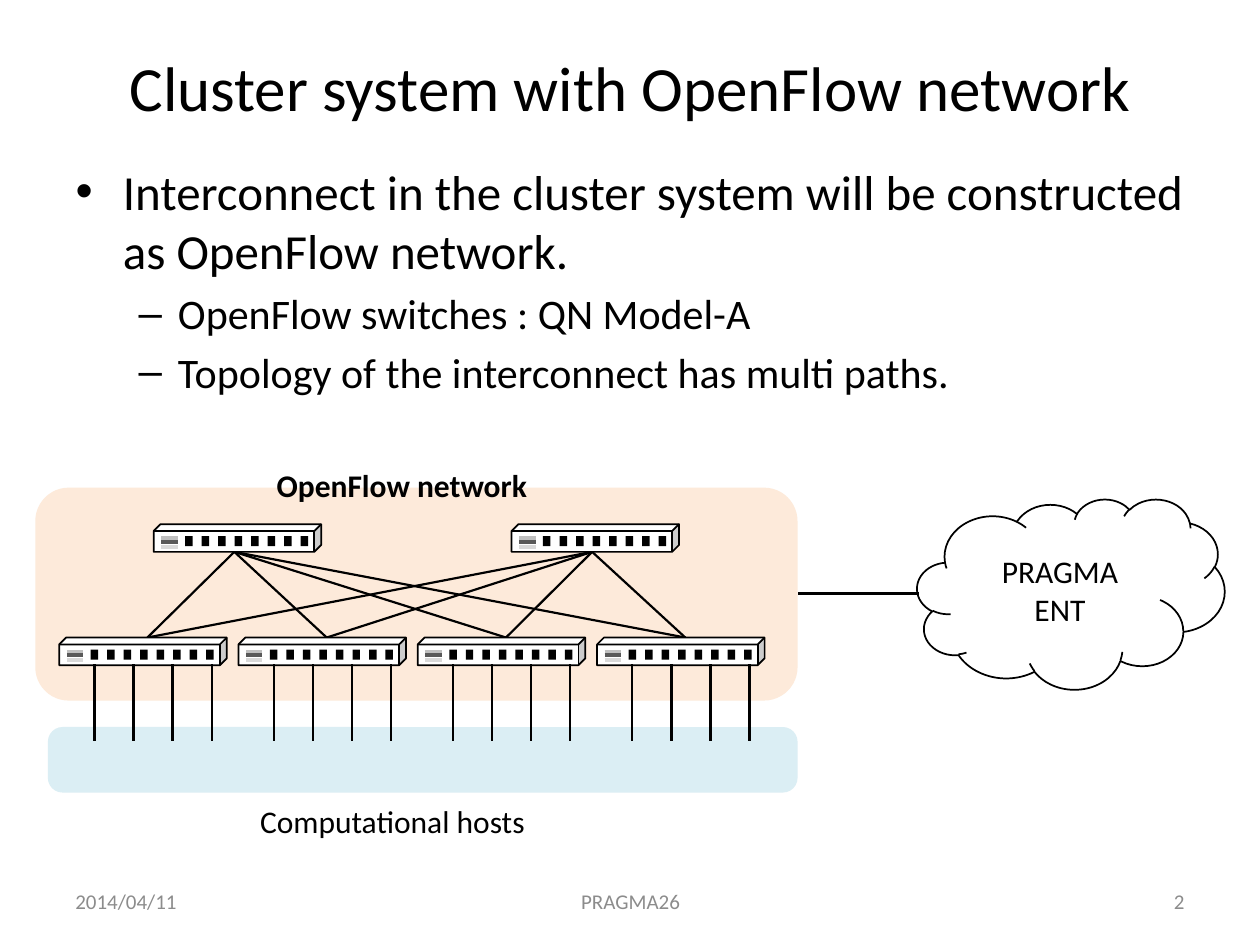
from pptx import Presentation
from pptx.dml.color import RGBColor
from pptx.enum.shapes import MSO_CONNECTOR as Conn, MSO_SHAPE as Geo
from pptx.enum.text import MSO_ANCHOR as Anchor, MSO_AUTO_SIZE as Fit, PP_ALIGN as Align
from pptx.oxml.ns import qn
from pptx.util import Inches, Pt
from lxml.etree import SubElement

# Content
TITLE = "Cluster system with OpenFlow network"
BODY = [
    (0, 28, "Interconnect in the cluster system will be constructed as OpenFlow network."),
    (1, 24, "OpenFlow switches : QN Model-A"),
    (1, 24, "Topology of the interconnect has multi paths."),
]
FOOTER = [
    (0.5, 2.33, Align.LEFT, "2014/04/11"),
    (3.42, 3.17, Align.CENTER, "PRAGMA26"),
    (7.17, 2.33, Align.RIGHT, "2"),
]
LABELS = [
    ((2.09, 3.65, 2.2, 0.4), "OpenFlow network", True),
    ((1.95, 6.32, 2.33, 0.4), "Computational hosts", False),
]
CLOUD = ["PRAGMA", "ENT"]
PANELS = [
    ((0.38, 5.77, 5.95, 0.52), 0.224, "hosts"),
    ((0.28, 3.87, 6.05, 1.69), 0.157, "net"),
]
COLOR = {
    "ink": "000000", "paper": "FFFFFF", "foot": "8C8C8C",
    "hosts": "DBEEF4", "net": "FDEADA",
    "mid": "BFBFBF", "dark": "595959", "light": "D9D9D9",
}
FONT = "Calibri"

# Network grid
WIDE, HIGH = 1.33, 0.22
PITCH = 1.423
SPINES = [1.22, 4.06]
LEAVES = [0.47 + PITCH * i for i in range(4)]
SPINE_TOP, LEAF_TOP = 4.16, 5.06
PORTS = 8
MARKS = [(0.11, "mid"), (0.14, "dark"), (0.18, "light")]
WIRES, WIRE_GAP = 4, 0.31

prs = Presentation()
prs.slide_width, prs.slide_height = Inches(10), Inches(7.5)
slide = prs.slides.add_slide(prs.slide_layouts[1])
shapes = slide.shapes


def rgb(name):
    return RGBColor.from_string(COLOR[name])


def place(shape, box):
    shape.left, shape.top, shape.width, shape.height = map(Inches, box)


def write(para, text, size, color="ink", bold=None):
    run = para.add_run()
    run.text = text
    font = run.font
    font.name, font.size, font.bold = FONT, Pt(size), bold
    font.color.rgb = rgb(color)


def label(box, text, size, color="ink", bold=None,
          align=Align.CENTER, anchor=Anchor.TOP, wrap=False):
    frame = shapes.add_textbox(*map(Inches, box)).text_frame
    frame.word_wrap, frame.vertical_anchor = wrap, anchor
    para = frame.paragraphs[0]
    para.alignment = align
    write(para, text, size, color, bold)


def draw(geo, box, fill=None, line=None):
    shape = shapes.add_shape(geo, *map(Inches, box))
    shape.shadow.inherit = False
    if fill:
        shape.fill.solid()
        shape.fill.fore_color.rgb = rgb(fill)
    else:
        shape.fill.background()
    if line:
        shape.line.color.rgb = rgb("ink")
        shape.line.width = Pt(line)
    else:
        shape.line.fill.background()
    return shape


def link(x1, y1, x2, y2, color="ink", width=1.25):
    line = shapes.add_connector(Conn.STRAIGHT, *map(Inches, (x1, y1, x2, y2)))
    line.line.color.rgb = rgb(color)
    line.line.width = Pt(width)
    SubElement(line._element.spPr, qn("a:effectLst"))


def switch(x, y):
    draw(Geo.CUBE, (x, y, WIDE, HIGH), "paper", 1)
    for i in range(PORTS):
        draw(Geo.RECTANGLE, (x + 0.25 + 0.131 * i, y + 0.095, 0.06, 0.08), "ink")
    for drop, color in MARKS:
        link(x + 0.06, y + drop, x + 0.19, y + drop, color, 2)


# Title and bullets
title = shapes.title
place(title, (0.5, 0.3, 9, 0.77))
title.text_frame.auto_size = Fit.NONE
write(title.text_frame.paragraphs[0], TITLE, 36)

body = slide.placeholders[1]
place(body, (0.5, 1.23, 9, 2.2))
body.text_frame.auto_size = Fit.NONE
for i, (level, size, text) in enumerate(BODY):
    para = body.text_frame.paragraphs[0] if i == 0 else body.text_frame.add_paragraph()
    para.level = level
    write(para, text, size)

# Footer
for left, width, align, text in FOOTER:
    label((left, 6.95, width, 0.4), text, 12, "foot",
          align=align, anchor=Anchor.MIDDLE, wrap=True)

# Panels and their labels
for box, bend, fill in PANELS:
    draw(Geo.ROUNDED_RECTANGLE, box, fill).adjustments[0] = bend
for box, text, bold in LABELS:
    label(box, text, 18, bold=bold)

# Every leaf reaches every spine
for leaf in LEAVES:
    for spine in SPINES:
        link(leaf + 0.7, LEAF_TOP, spine + 0.64, SPINE_TOP + HIGH)

# Switches
for x in SPINES:
    switch(x, SPINE_TOP)
for x in LEAVES:
    switch(x, LEAF_TOP)

# Wires down to the hosts
for leaf in LEAVES:
    for i in range(WIRES):
        x = leaf + 0.28 + WIRE_GAP * i
        link(x, 5.88, x, 5.27)

# Outside network
cloud = draw(Geo.CLOUD, (7.28, 3.96, 2.44, 1.51), line=1)
cloud.text_frame.vertical_anchor = Anchor.MIDDLE
para = cloud.text_frame.paragraphs[0]
para.alignment = Align.CENTER
for i, word in enumerate(CLOUD):
    if i:
        para.add_line_break()
    write(para, word, 18)
link(7.29, 4.71, 6.33, 4.71)

prs.save("out.pptx")
